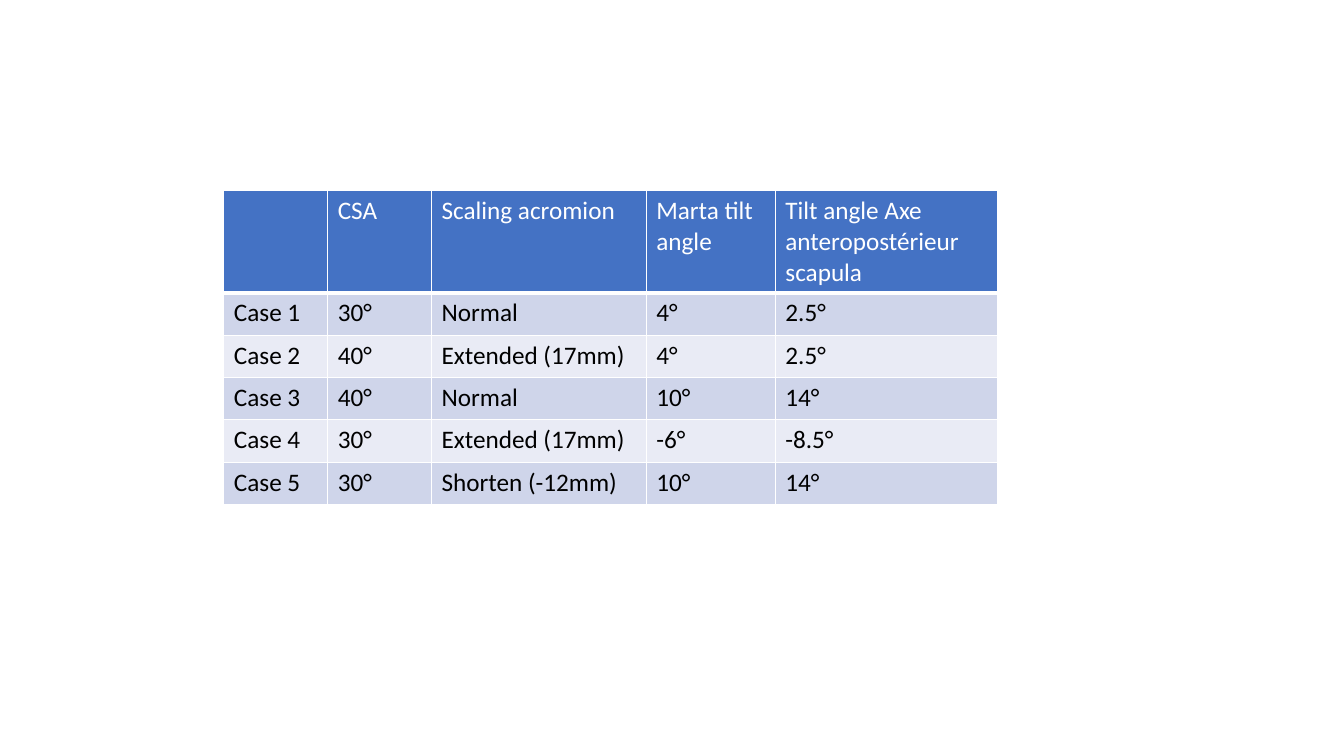
from lxml import etree
from pptx import Presentation
from pptx import util as u
from pptx.dml.color import RGBColor
from pptx.oxml.ns import qn

COLORS = {
    "head": "4472C4",
    "odd": "CFD5EA",
    "even": "E9EBF5",
    "rule": "FFFFFF",
    "light": "FFFFFF",
    "dark": "000000",
}
WIDTHS = [1.03, 1.03, 2.13, 1.28, 2.2]
HEIGHTS = [1.01] + [0.42] * 5
CASES = [
    ["", "CSA", "Scaling acromion", "Marta tilt angle",
     "Tilt angle Axe \vanteropostérieur scapula"],
    ["Case 1", "30°", "Normal", "4°", "2.5°"],
    ["Case 2", "40°", "Extended (17mm)", "4°", "2.5°"],
    ["Case 3", "40°", "Normal", "10°", "14°"],
    ["Case 4", "30°", "Extended (17mm)", "-6°", "-8.5°"],
    ["Case 5", "30°", "Shorten (-12mm)", "10°", "14°"],
]


class Page:
    font = "Calibri"
    size = 18

    def __init__(self, slide):
        self.slide = slide

    def table(self, left, top, widths, heights, rows):
        frame = self.slide.shapes.add_table(
            len(rows), len(widths), u.Inches(left), u.Inches(top),
            u.Inches(sum(widths)), u.Inches(sum(heights)))
        grid = frame.table
        for col, width in zip(grid.columns, widths):
            col.width = u.Inches(width)
        for r, (row, height) in enumerate(zip(rows, heights)):
            grid.rows[r].height = u.Inches(height)
            fill = "head" if r == 0 else "odd" if r % 2 else "even"
            for c, words in enumerate(row):
                self.cell(grid.cell(r, c), words, fill)

    def cell(self, cell, words, fill):
        head = fill == "head"
        self.border(cell, 3 if head else 1)
        cell.fill.solid()
        cell.fill.fore_color.rgb = RGBColor.from_string(COLORS[fill])
        cell.text = words
        for para in cell.text_frame.paragraphs:
            font = para.font
            font.name = self.font
            font.size = u.Pt(self.size)
            font.bold = False
            font.color.rgb = RGBColor.from_string(
                COLORS["light" if head else "dark"])

    def border(self, cell, base):
        """Rule all four sides, with the bottom one base points wide."""
        props = cell._tc.get_or_add_tcPr()
        for side, width in zip("LRTB", (1, 1, 1, base)):
            line = etree.SubElement(props, qn("a:ln" + side),
                                    w=str(int(u.Pt(width))))
            solid = etree.SubElement(line, qn("a:solidFill"))
            etree.SubElement(solid, qn("a:srgbClr"), val=COLORS["rule"])


def main():
    deck = Presentation()
    deck.slide_width = u.Inches(13.33)
    deck.slide_height = u.Inches(7.5)
    page = Page(deck.slides.add_slide(deck.slide_layouts[6]))
    page.table(2.22, 1.89, WIDTHS, HEIGHTS, CASES)
    deck.save("out.pptx")


if __name__ == "__main__":
    main()
